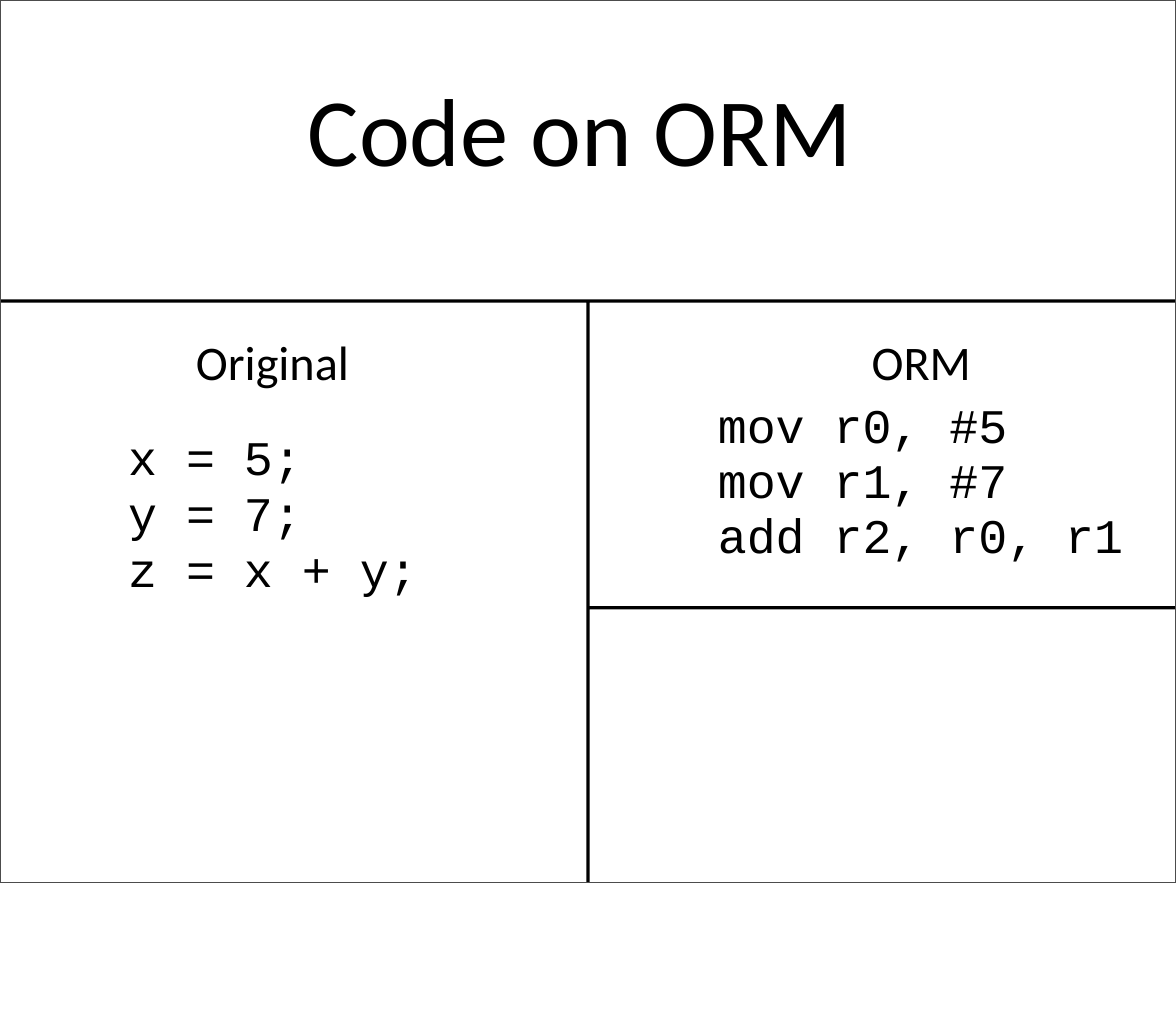
from dataclasses import dataclass

from pptx import Presentation
from pptx.dml.color import RGBColor
from pptx.enum.shapes import MSO_SHAPE
from pptx.enum.text import MSO_AUTO_SIZE
from pptx.slide import Slide
from pptx.text.text import _Paragraph
from pptx.util import Inches, Pt

RECTANGLE = MSO_SHAPE.RECTANGLE
GROW = MSO_AUTO_SIZE.SHAPE_TO_FIT_TEXT

BLACK = "000000"
FRAME_GREY = "4C4C4C"
HEADING_FONT = "Calibri"
CODE_FONT = "Courier New"
TEXT_SIZE = 42

PAGE_WIDTH, PAGE_HEIGHT = 14.22, 12.47
FRAME_HEIGHT = 10.67
RULE = 0.04
TITLE_RULE_TOP = 3.62
CENTER_RULE_LEFT = 7.09
ASSEMBLY_RULE_TOP = 7.33

ASSEMBLY_CODE = [
    ["mov", "r0,", "#5"],
    ["mov", "r1,", "#7"],
    ["add", "r2,", "r0,", "r1"],
]
ASSEMBLY_COLUMNS = [1.26, 1.4, 1.4, 0.91]
ASSEMBLY_ROW_HEIGHT = 0.66


@dataclass
class Label:
    lines: list[str]
    left: float
    top: float
    width: float
    height: float
    font: str = HEADING_FONT
    size: float = TEXT_SIZE
    spacing: float | None = None


LABELS = [
    Label(["Code on ORM"], 3.71, 0.83, 6.8, 1.43, size=84),
    Label(["x = 5;", "y = 7;", "z = x + y;"], 1.54, 5.17, 3.53, 2.06,
          font=CODE_FONT, spacing=48.8),
    Label(["Original"], 2.36, 4, 1.91, 0.73),
    Label(["ORM"], 10.53, 4, 1.23, 0.73),
]


def color(value: str) -> RGBColor:
    return RGBColor.from_string(value)


def write(paragraph: _Paragraph, text: str, font: str, size: float,
          spacing: float | None) -> None:
    paragraph.text = text
    paragraph.font.name = font
    paragraph.font.size = Pt(size)
    paragraph.font.color.rgb = color(BLACK)
    if spacing:
        paragraph.line_spacing = Pt(spacing)


def add_label(page: Slide, label: Label) -> None:
    box = page.shapes.add_textbox(Inches(label.left), Inches(label.top),
                                  Inches(label.width), Inches(label.height))
    frame = box.text_frame
    frame.word_wrap = True
    frame.auto_size = GROW
    frame.margin_left = Inches(0.01)
    frame.margin_top = Inches(0.02)
    frame.margin_right = frame.margin_bottom = 0
    for index, line in enumerate(label.lines):
        paragraph = frame.add_paragraph() if index else frame.paragraphs[0]
        write(paragraph, line, label.font, label.size, label.spacing)


def add_dividers(page: Slide) -> None:
    """Draw the three joined rules between the panels as one outline."""
    title_bottom = TITLE_RULE_TOP + RULE
    center_right = CENTER_RULE_LEFT + RULE
    assembly_bottom = ASSEMBLY_RULE_TOP + RULE
    corners = [
        (PAGE_WIDTH, TITLE_RULE_TOP), (0, TITLE_RULE_TOP), (0, title_bottom),
        (CENTER_RULE_LEFT, title_bottom), (CENTER_RULE_LEFT, FRAME_HEIGHT),
        (center_right, FRAME_HEIGHT), (center_right, assembly_bottom),
        (PAGE_WIDTH, assembly_bottom), (PAGE_WIDTH, ASSEMBLY_RULE_TOP),
        (center_right, ASSEMBLY_RULE_TOP), (center_right, title_bottom),
        (PAGE_WIDTH, title_bottom),
    ]
    start, *others = [(Inches(x), Inches(y)) for x, y in corners]
    builder = page.shapes.build_freeform(*start)
    builder.add_line_segments(others, close=True)
    dividers = builder.convert_to_shape()
    dividers.shadow.inherit = False
    dividers.fill.solid()
    dividers.fill.fore_color.rgb = color(BLACK)
    dividers.line.fill.background()


def add_assembly_code(page: Slide) -> None:
    table = page.shapes.add_table(
        len(ASSEMBLY_CODE), len(ASSEMBLY_COLUMNS), Inches(8.65), Inches(4.94),
        Inches(sum(ASSEMBLY_COLUMNS)),
        Inches(ASSEMBLY_ROW_HEIGHT * len(ASSEMBLY_CODE))).table
    table.first_row = table.horz_banding = False
    for column, width in zip(table.columns, ASSEMBLY_COLUMNS):
        column.width = Inches(width)
    for cell in table.iter_cells():
        cell.fill.background()
        cell.margin_left = cell.margin_right = 0
        cell.margin_top = cell.margin_bottom = 0
    for row, words in enumerate(ASSEMBLY_CODE):
        table.rows[row].height = Inches(ASSEMBLY_ROW_HEIGHT)
        for column, word in enumerate(words):
            cell = table.cell(row, column)
            cell.margin_left = Inches(0.17 if column else 0.03)
            write(cell.text_frame.paragraphs[0], word, CODE_FONT, TEXT_SIZE, 43.5)


def add_frame(page: Slide) -> None:
    frame = page.shapes.add_shape(RECTANGLE, 0, 0, Inches(PAGE_WIDTH),
                                  Inches(FRAME_HEIGHT))
    frame.shadow.inherit = False
    frame.fill.background()
    frame.line.color.rgb = color(FRAME_GREY)
    frame.line.width = Pt(1)


def main() -> None:
    deck = Presentation()
    deck.slide_width = Inches(PAGE_WIDTH)
    deck.slide_height = Inches(PAGE_HEIGHT)
    page = deck.slides.add_slide(deck.slide_layouts[6])
    add_dividers(page)
    for label in LABELS:
        add_label(page, label)
    add_assembly_code(page)
    add_frame(page)
    deck.save("out.pptx")


if __name__ == "__main__":
    main()
